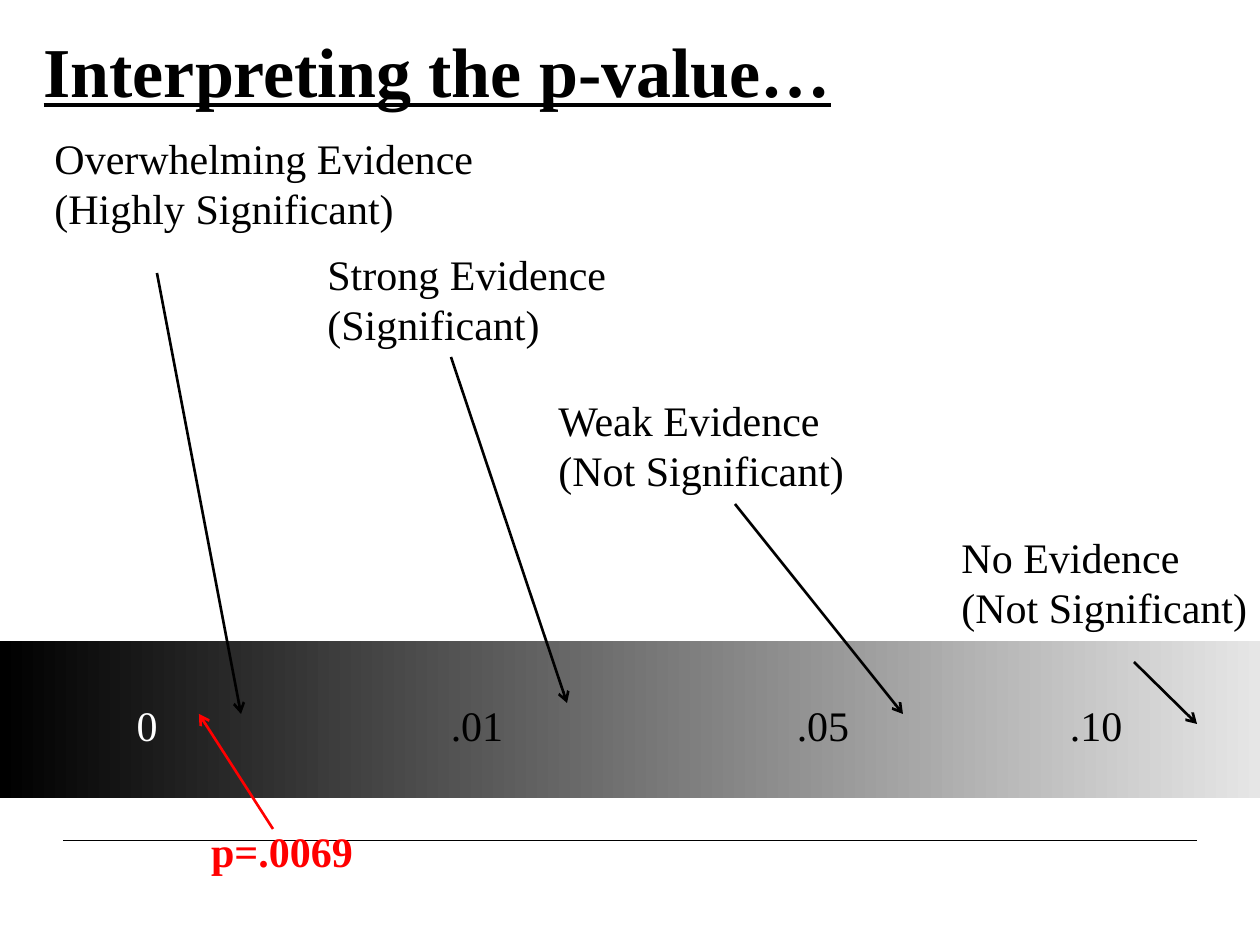
from lxml import etree
from pptx import Presentation
from pptx import util as u
from pptx.dml.color import RGBColor
from pptx.enum import shapes, text
from pptx.oxml.ns import qn

PX = 914400 / 126
FONT = "Times New Roman"
COLORS = {"ink": "000000", "pale": "E6E6E6", "white": "FFFFFF", "accent": "FF0000"}
LEVELS = [
    (42, 126, 448, ["Overwhelming Evidence", "(Highly Significant)"]),
    (315, 242, 308, ["Strong Evidence", "(Significant)"]),
    (546, 388, 314, ["Weak Evidence", "(Not Significant)"]),
    (949, 525, 311, ["No Evidence", "(Not Significant)"]),
]
TICKS = [(147, "0", "white"), (477, ".01", "ink"), (823, ".05", "ink"), (1096, ".10", "ink")]
ARROWS = [
    (157, 273, 241, 714),
    (451, 357, 567, 703),
    (735, 504, 903, 714),
    (1134, 662, 1197, 724),
]


def px(*values):
    return [u.Emu(round(v * PX)) for v in values]


def rgb(name):
    return RGBColor.from_string(COLORS[name])


def style(p, size, color, bold=False):
    p.font.name = FONT
    p.font.size = u.Pt(size)
    p.font.bold = bold
    p.font.color.rgb = rgb(color)


def add_title(s, words):
    sp = s.shapes.title
    sp.left, sp.top, sp.width, sp.height = px(31, 21, 1207, 84)
    tf = sp.text_frame
    tf.text = words
    tf.auto_size = text.MSO_AUTO_SIZE.NONE
    tf.vertical_anchor = text.MSO_ANCHOR.TOP
    p = tf.paragraphs[0]
    p.alignment = text.PP_ALIGN.LEFT
    style(p, 40, "ink", True)
    p.font.underline = True


def add_label(s, box, lines, color="ink", align=text.PP_ALIGN.LEFT, bold=False):
    tf = s.shapes.add_textbox(*px(*box)).text_frame
    tf.word_wrap = False
    tf.auto_size = text.MSO_AUTO_SIZE.SHAPE_TO_FIT_TEXT
    tf.vertical_anchor = text.MSO_ANCHOR.MIDDLE
    tf.text = "\n".join(lines)
    for p in tf.paragraphs:
        p.alignment = align
        style(p, 24, color, bold)


def add_band(s):
    sp = s.shapes.add_shape(shapes.MSO_SHAPE.RECTANGLE, *px(0, 641, 1260, 157))
    sp.shadow.inherit = False
    sp.line.fill.background()
    sp.fill.gradient()
    sp.fill.gradient_angle = 0
    for stop, position, color in zip(sp.fill.gradient_stops, (0, 1), ("ink", "pale")):
        stop.position = position
        stop.color.rgb = rgb(color)


def add_line(s, ends, color="ink", width=1.5, arrow=True):
    line = s.shapes.add_connector(shapes.MSO_CONNECTOR.STRAIGHT, *px(*ends))
    line.line.color.rgb = rgb(color)
    line.line.width = u.Pt(width)
    sp_pr = line._element.spPr
    if arrow:
        etree.SubElement(sp_pr.find(qn("a:ln")), qn("a:tailEnd"), type="arrow")
    etree.SubElement(sp_pr, qn("a:effectLst"))


def main():
    prs = Presentation()
    prs.slide_width, prs.slide_height = px(1260, 945)
    s = prs.slides.add_slide(prs.slide_layouts[5])
    add_line(s, (63, 840, 1197, 840), width=0.5, arrow=False)
    add_title(s, "Interpreting the p-value…")
    add_band(s)
    for left, top, width, lines in LEVELS:
        add_label(s, (left, top, width, 113), lines)
    for center, value, color in TICKS:
        add_label(s, (center - 40, 693, 80, 63), [value], color, text.PP_ALIGN.CENTER)
    for ends in ARROWS:
        add_line(s, ends)
    add_label(s, (198, 819, 168, 63), ["p=.0069"], "accent", text.PP_ALIGN.CENTER, True)
    add_line(s, (273, 829, 199, 714), "accent")
    prs.save("out.pptx")


if __name__ == "__main__":
    main()
